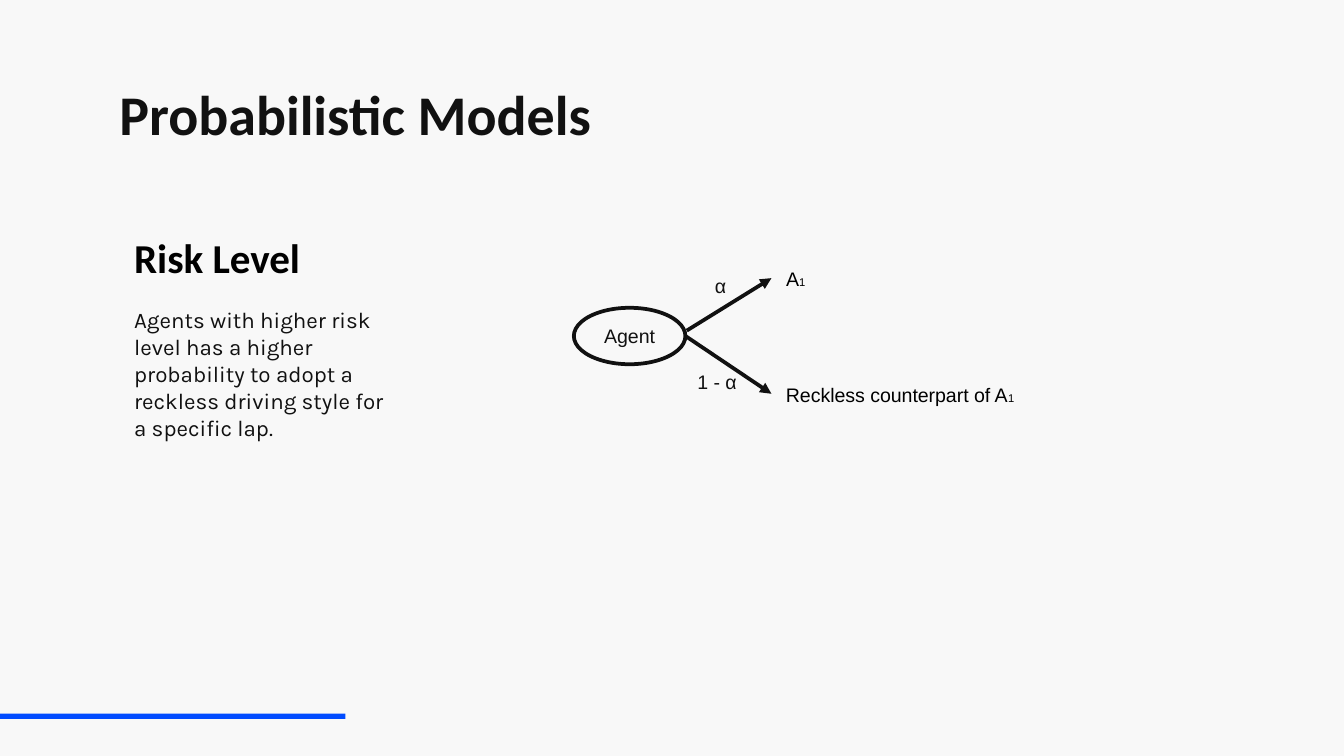
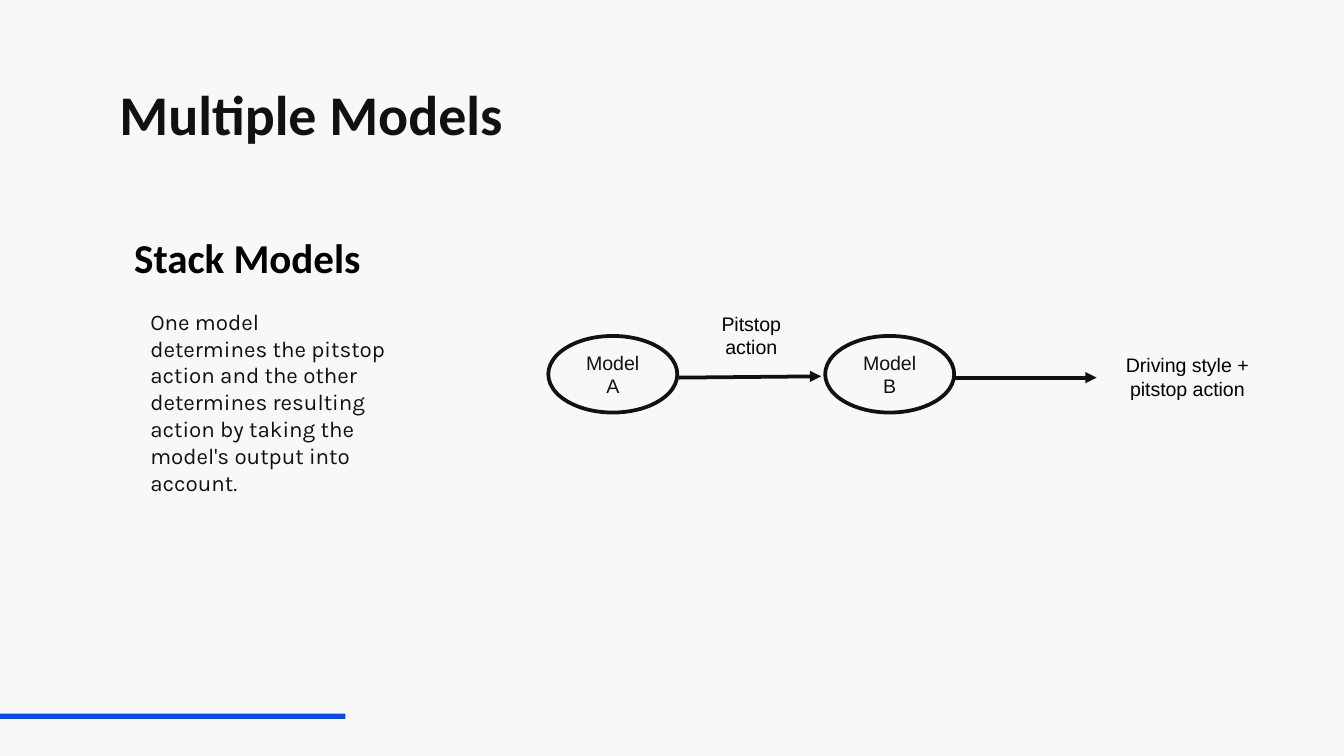
from lxml.etree import SubElement
from pptx import Presentation
from pptx.dml.color import RGBColor
from pptx.enum.shapes import MSO_CONNECTOR, MSO_SHAPE
from pptx.enum.text import MSO_ANCHOR as Anchor, MSO_AUTO_SIZE as AutoSize, PP_ALIGN as Align
from pptx.oxml.ns import qn
from pptx.util import Inches, Pt

PAPER = RGBColor(0xF8, 0xF8, 0xF8)
INK = RGBColor(0x11, 0x11, 0x11)
BLACK = RGBColor(0, 0, 0)
BLUE = RGBColor(0x00, 0x4B, 0xFF)

TITLE = dict(name="Calibri", size=Pt(30), bold=True, color=INK)
HEADING = dict(name="Calibri", size=Pt(22), bold=True, color=BLACK)
BODY = dict(name="Karla", size=Pt(12), color=INK)
NODE = dict(name="Arial", size=Pt(10.5), color=INK)
LABEL = dict(NODE, color=BLACK)
SUBSCRIPT = dict(LABEL, size=Pt(6))

BAR_BOX = (0, 5.31, 2.57, 0.04)
TITLE_BOX = (0.79, 0.49, 8.43, 0.63)
HEADING_BOX = (0.9, 1.7, 2.17, 0.5)
NO_BREAK_SPACE = chr(160)

SLIDES = [
    dict(
        title="Probabilistic Models",
        heading="Risk Level",
        body="Agents with higher risk level has a higher probability to adopt "
             "a reckless driving style for a specific lap.",
        body_box=(0.9, 2.18, 2.17, 1.21),
        indent=0,
        arrows=[((5.11, 2.46), (5.74, 2.07)), ((5.1, 2.5), (5.74, 2.93))],
        nodes=[("Agent", (4.27, 2.29, 0.83, 0.42))],
        label_align=Align.LEFT,
        labels=[
            ([("α", NODE)], (5.22, 1.99, 0.27, 0.29)),
            ([("1 - α", NODE)], (5.09, 2.7, 0.52, 0.28)),
            ([("A", LABEL), ("1", SUBSCRIPT)], (5.75, 1.94, 0.35, 0.28)),
            ([("Reckless counterpart of A", LABEL), ("1", SUBSCRIPT)], (5.75, 2.8, 2, 0.28)),
        ],
    ),
    dict(
        title="Multiple Models",
        heading="Stack Models",
        body=f"One model determines{NO_BREAK_SPACE}the pitstop action and the other determines "
             "resulting action by taking the model's output into account.",
        body_box=(0.9, 2.19, 2.17, 1.58),
        indent=0.12,
        arrows=[((6.47, 2.81), (8.16, 2.81)), ((5.05, 2.81), (6.11, 2.8))],
        nodes=[("Model A", (4.08, 2.5, 0.96, 0.57)), ("Model B", (6.14, 2.5, 0.96, 0.57))],
        label_align=Align.CENTER,
        labels=[
            ([("Pitstop action", LABEL)], (5.08, 2.27, 1.02, 0.45)),
            ([("Driving style + pitstop action", LABEL)], (8.16, 2.58, 1.35, 0.45)),
        ],
    ),
]


def inches(values):
    return [Inches(v) for v in values]


def write(sp, runs, align=Align.LEFT, anchor=Anchor.TOP, pad=0.05):
    tf = sp.text_frame
    frame = dict(word_wrap=True, vertical_anchor=anchor,
                 margin_left=Inches(0.1), margin_right=Inches(0.1),
                 margin_top=Inches(pad), margin_bottom=Inches(pad))
    for key, value in frame.items():
        setattr(tf, key, value)
    p = tf.paragraphs[0]
    p.alignment = align
    for text, style in runs:
        r = p.add_run()
        r.text = text
        for key, value in style.items():
            if key == "color":
                r.font.color.rgb = value
            else:
                setattr(r.font, key, value)
    return tf


def add_text(s, box, runs, **layout):
    return write(s.shapes.add_textbox(*inches(box)), runs, **layout)


def add_solid(s, kind, box, fill, line=None):
    sp = s.shapes.add_shape(kind, *inches(box))
    sp.shadow.inherit = False
    sp.fill.solid()
    sp.fill.fore_color.rgb = fill
    if line is None:
        sp.line.fill.background()
    else:
        sp.line.color.rgb = line
        sp.line.width = Pt(2)
    return sp


def add_arrow(s, start, end):
    cx = s.shapes.add_connector(MSO_CONNECTOR.STRAIGHT, *inches(start + end))
    cx.line.color.rgb = INK
    cx.line.width = Pt(2)
    ln = cx._element.spPr.find(qn("a:ln"))
    SubElement(ln, qn("a:tailEnd"), type="triangle")
    SubElement(cx._element.spPr, qn("a:effectLst"))


def add_slide(prs, c):
    s = prs.slides.add_slide(prs.slide_layouts[6])
    s.background.fill.solid()
    s.background.fill.fore_color.rgb = PAPER
    add_solid(s, MSO_SHAPE.RECTANGLE, BAR_BOX, BLUE)
    add_text(s, TITLE_BOX, [(c["title"], TITLE)], pad=0.1)
    tf = add_text(s, c["body_box"], [(c["body"], BODY)], pad=0.1)
    if c["indent"]:
        pPr = tf.paragraphs[0]._p.get_or_add_pPr()
        pPr.set("marL", str(Inches(c["indent"])))
        pPr.set("indent", "0")
    add_text(s, HEADING_BOX, [(c["heading"], HEADING)], anchor=Anchor.BOTTOM, pad=0.1)
    for start, end in c["arrows"]:
        add_arrow(s, start, end)
    for text, box in c["nodes"]:
        sp = add_solid(s, MSO_SHAPE.OVAL, box, PAPER, INK)
        write(sp, [(text, NODE)], align=Align.CENTER, anchor=Anchor.MIDDLE)
    for runs, box in c["labels"]:
        tf = add_text(s, box, runs, align=c["label_align"])
        tf.auto_size = AutoSize.SHAPE_TO_FIT_TEXT


def main():
    prs = Presentation()
    prs.slide_width = Inches(10)
    prs.slide_height = prs.slide_width * 9 // 16
    for content in SLIDES:
        add_slide(prs, content)
    prs.save("out.pptx")


if __name__ == "__main__":
    main()
